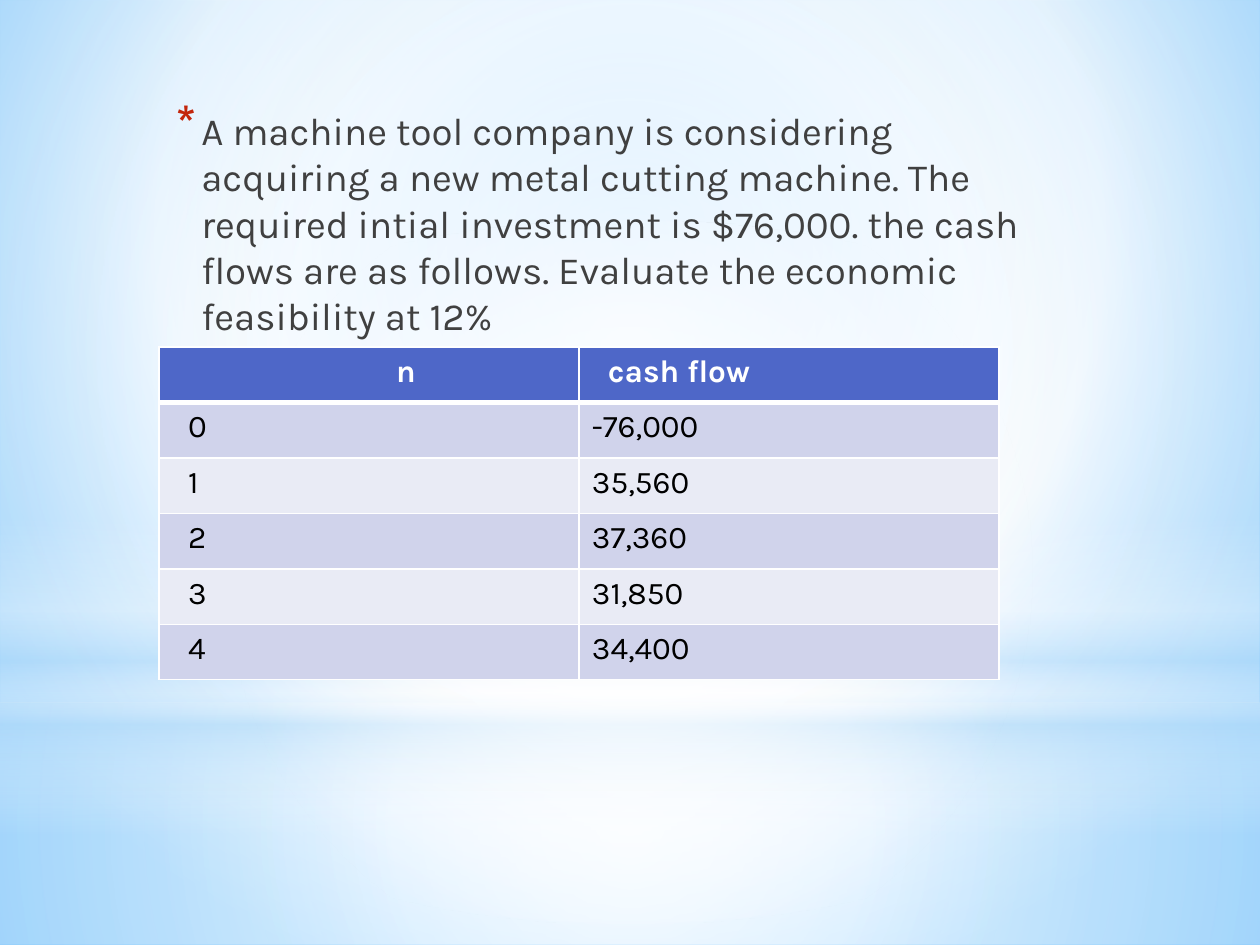
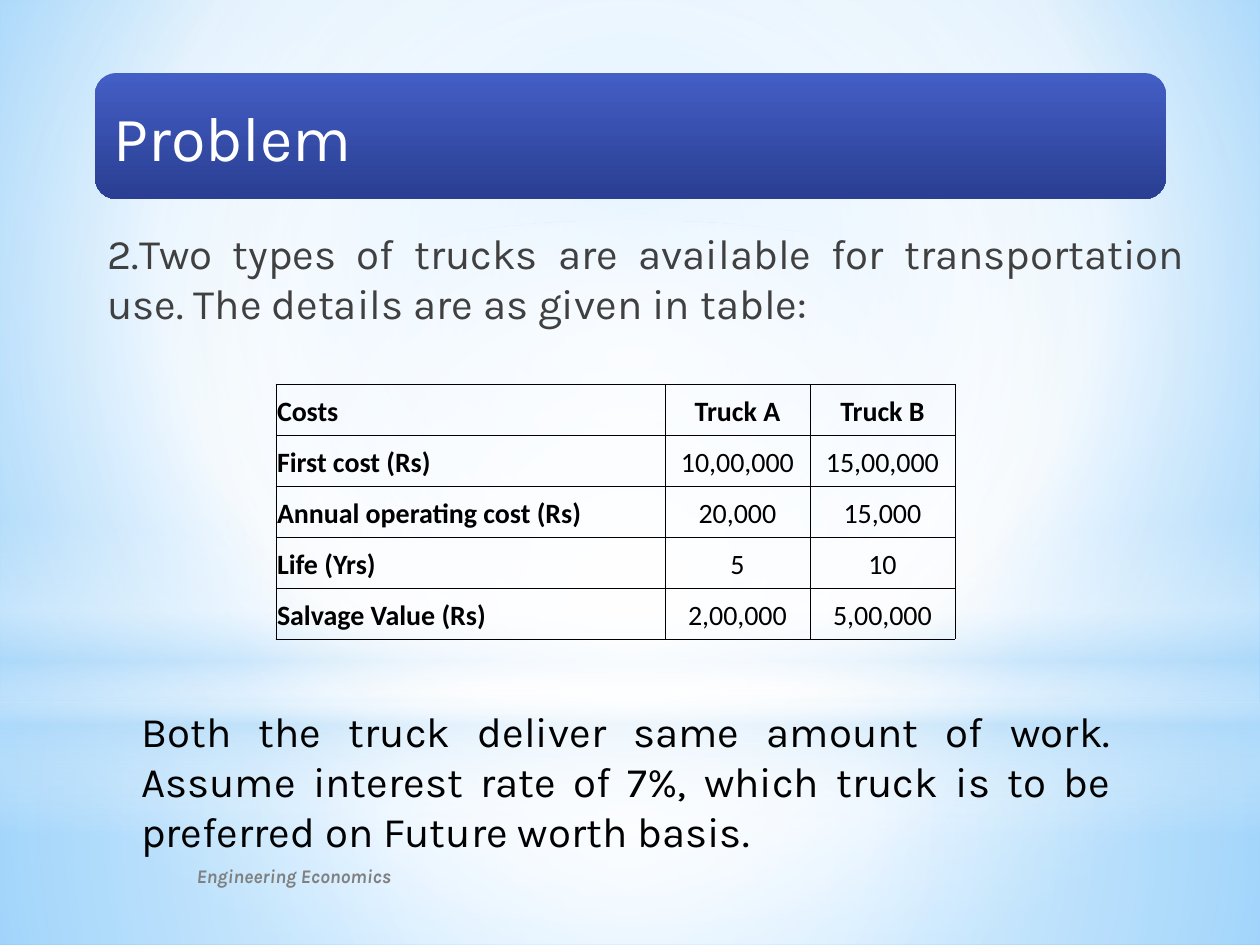
"""Build two engineering economics problem slides with tables on a sky-blue backdrop."""
from dataclasses import dataclass
from typing import NamedTuple

from pptx import Presentation
from pptx.dml.color import RGBColor
from pptx.enum.shapes import MSO_SHAPE as Preset
from pptx.enum.text import MSO_ANCHOR as Anchor, PP_ALIGN as Align
from pptx.oxml import parse_xml
from pptx.oxml.ns import nsdecls, qn
from pptx.util import Emu, Pt

PX_PER_INCH = 126
BODY_FONT, TABLE_FONT = "Karla", "Calibri"
WHITE, BLACK, BODY_GREY, FOOTER_GREY = "FFFFFF", "000000", "404040", "808080"
BULLET_RED, HEADER_BLUE, PALE_BLUE = "C3260C", "4E67C8", "B4DCFA"
ROW_BANDS = ("D0D3EB", "E9EBF5")


class Box(NamedTuple):
    left: int
    top: int
    width: int
    height: int


class Stop(NamedTuple):
    position: int
    color: str
    alpha: int = 100


@dataclass(frozen=True)
class Gradient:
    stops: tuple[Stop, ...]
    focus: tuple[int, int, int, int] | None = (50, 50, 50, 50)


@dataclass(frozen=True)
class Layer:
    preset: Preset
    box: Box
    gradient: Gradient


@dataclass(frozen=True)
class Style:
    size: int
    color: str
    font: str = BODY_FONT
    bold: bool = False
    italic: bool = False
    align: Align = Align.LEFT
    before: float = 0
    after: float = 0
    indent: int = 0
    hanging: int = 0
    bullet: str = ""


@dataclass(frozen=True)
class Cell:
    text: str
    style: Style
    fill: str | None = None
    border: str = BLACK
    border_width: float = 0.5
    bottom_width: float = 0.5
    anchor: Anchor = Anchor.TOP
    side_margin: int = 13


SKY = Gradient((Stop(0, "9CD4FF"), Stop(60, WHITE), Stop(100, "5BB9FF")), (50, 25, 50, 75))
BAND_GRADIENT = Gradient((Stop(0, "435EC5"), Stop(100, "2A3F92")), None)
BACKDROP = (
    Layer(Preset.RECTANGLE, Box(0, 703, 1260, 242),
          Gradient((Stop(0, WHITE, 91), Stop(37, WHITE, 76), Stop(100, PALE_BLUE, 79)))),
    Layer(Preset.RECTANGLE, Box(0, 0, 1260, 703),
          Gradient((Stop(0, WHITE, 89), Stop(48, WHITE, 62), Stop(100, PALE_BLUE, 79)))),
    Layer(Preset.RECTANGLE, Box(0, 519, 1260, 315),
          Gradient((Stop(0, WHITE, 0), Stop(29, WHITE, 30), Stop(45, PALE_BLUE, 40),
                    Stop(55, WHITE, 26), Stop(65, PALE_BLUE, 60), Stop(100, WHITE, 0)), None)),
    Layer(Preset.OVAL, Box(0, 221, 1260, 703),
          Gradient((Stop(0, WHITE), Stop(56, WHITE, 0)))),
)

TITLE = Style(36, WHITE)
BULLET_BODY = Style(22, BODY_GREY, before=4.4, after=3, indent=32, hanging=25, bullet="*")
JUSTIFIED_BODY = Style(24, BODY_GREY, align=Align.JUSTIFY, before=4.8, after=3)
QUESTION = Style(24, BLACK, align=Align.JUSTIFY)
FOOTER = Style(11, FOOTER_GREY, bold=True, italic=True, align=Align.CENTER)

CASH_FLOWS = ("-76,000", "35,560", "37,360", "31,850", "34,400")
TRUCK_COSTS = (
    ("Costs", "Truck A", "Truck B"),
    ("First cost (Rs)", "10,00,000", "15,00,000"),
    ("Annual operating cost (Rs)", "20,000", "15,000"),
    ("Life (Yrs)", "5", "10"),
    ("Salvage Value (Rs)", "2,00,000", "5,00,000"),
)


def px(length: int) -> Emu:
    return Emu(round(length * 914400 / PX_PER_INCH))


def rgb(color: str) -> RGBColor:
    return RGBColor.from_string(color)


def emu_box(box: Box) -> tuple[Emu, ...]:
    return tuple(px(length) for length in box)


def apply_gradient(properties, gradient: Gradient) -> None:
    stops = "".join(
        f'<a:gs pos="{stop.position * 1000}"><a:srgbClr val="{stop.color}">'
        f'<a:alpha val="{stop.alpha * 1000}"/></a:srgbClr></a:gs>'
        for stop in gradient.stops)
    if gradient.focus:
        sides = " ".join(f'{side}="{value * 1000}"' for side, value in zip("ltrb", gradient.focus))
        direction = f'<a:path path="circle"><a:fillToRect {sides}/></a:path>'
    else:
        direction = '<a:lin ang="5400000" scaled="0"/>'
    fill = parse_xml(f'<a:gradFill {nsdecls("a")} rotWithShape="1">'
                     f'<a:gsLst>{stops}</a:gsLst>{direction}</a:gradFill>')
    properties.replace(properties.find(qn("a:solidFill")), fill)


def add_layer(slide, layer: Layer):
    shape = slide.shapes.add_shape(layer.preset, *emu_box(layer.box))
    shape.shadow.inherit = False
    shape.line.fill.background()
    shape.fill.solid()
    apply_gradient(shape.element.spPr, layer.gradient)
    return shape


def add_backdrop_slide(presentation):
    slide = presentation.slides.add_slide(presentation.slide_layouts[6])
    slide.background.fill.solid()
    apply_gradient(next(slide.element.iter(qn("p:bgPr"))), SKY)
    for layer in BACKDROP:
        add_layer(slide, layer)
    return slide


def write(text_frame, text: str, style: Style) -> None:
    paragraph = text_frame.paragraphs[0]
    paragraph.alignment = style.align
    paragraph.space_before, paragraph.space_after = Pt(style.before), Pt(style.after)
    properties = paragraph._p.get_or_add_pPr()
    properties.set("marL", str(px(style.indent)))
    properties.set("indent", str(px(-style.hanging)))
    if style.bullet:
        for bullet_xml in (f'<a:buClr {nsdecls("a")}><a:srgbClr val="{BULLET_RED}"/></a:buClr>',
                           f'<a:buSzPct {nsdecls("a")} val="130000"/>',
                           f'<a:buChar {nsdecls("a")} char="{style.bullet}"/>'):
            properties.append(parse_xml(bullet_xml))
    run = paragraph.add_run()
    run.text = text
    font = run.font
    font.name, font.size = style.font, Pt(style.size)
    font.bold, font.italic = style.bold, style.italic
    font.color.rgb = rgb(style.color)


def add_text(slide, box: Box, text: str, style: Style, anchor: Anchor = Anchor.TOP) -> None:
    text_frame = slide.shapes.add_textbox(*emu_box(box)).text_frame
    text_frame.word_wrap = True
    text_frame.vertical_anchor = anchor
    write(text_frame, text, style)


def add_title_band(slide, text: str) -> None:
    band = add_layer(slide, Layer(Preset.ROUNDED_RECTANGLE, Box(95, 73, 1071, 126), BAND_GRADIENT))
    band.adjustments[0] = 0.17
    band.text_frame.vertical_anchor = Anchor.MIDDLE
    write(band.text_frame, text, TITLE)


def draw_cell(table_cell, cell: Cell) -> None:
    table_cell.vertical_anchor = cell.anchor
    table_cell.margin_left = table_cell.margin_right = px(cell.side_margin)
    if cell.fill:
        table_cell.fill.solid()
        table_cell.fill.fore_color.rgb = rgb(cell.fill)
    else:
        table_cell.fill.background()
    properties = table_cell._tc.get_or_add_tcPr()
    for index, side in enumerate("LRTB"):
        width = cell.bottom_width if side == "B" else cell.border_width
        properties.insert(index, parse_xml(
            f'<a:ln{side} {nsdecls("a")} w="{Pt(width)}"><a:solidFill>'
            f'<a:srgbClr val="{cell.border}"/></a:solidFill></a:ln{side}>'))
    write(table_cell.text_frame, cell.text, cell.style)


def add_table(slide, box: Box, column_widths: tuple[int, ...], rows: list[list[Cell]]) -> None:
    table = slide.shapes.add_table(len(rows), len(column_widths), *emu_box(box)).table
    table.first_row = table.horz_banding = False
    for column, width in zip(table.columns, column_widths):
        column.width = px(width)
    for table_row, cells in zip(table.rows, rows):
        table_row.height = Emu(px(box.height) // len(rows))
        for table_cell, cell in zip(table_row.cells, cells):
            draw_cell(table_cell, cell)


def cash_flow_cell(text: str, indent: int, row: int) -> Cell:
    header = row == 0
    style = Style(18, WHITE if header else BLACK, bold=header, indent=indent)
    fill = HEADER_BLUE if header else ROW_BANDS[(row - 1) % 2]
    return Cell(text, style, fill, WHITE, 1, 3 if header else 1)


def truck_cell(text: str, row: int, column: int) -> Cell:
    style = Style(16, BLACK, TABLE_FONT, bold=row == 0 or column == 0,
                  align=Align.CENTER if column else Align.LEFT)
    return Cell(text, style, anchor=Anchor.BOTTOM, side_margin=1)


def build_cash_flow_slide(presentation) -> None:
    slide = add_backdrop_slide(presentation)
    add_text(slide, Box(157, 101, 882, 479),
             "A machine tool company is considering acquiring a new metal cutting machine. "
             "The required intial investment is $76,000. the cash flows are as follows. "
             "Evaluate the economic feasibility at 12%", BULLET_BODY)
    rows = [[cash_flow_cell("n", 224, 0), cash_flow_cell("cash flow", 16, 0)]]
    rows += [[cash_flow_cell(str(year), 16, year + 1), cash_flow_cell(amount, 0, year + 1)]
             for year, amount in enumerate(CASH_FLOWS)]
    add_table(slide, Box(159, 347, 840, 333), (420, 420), rows)


def build_truck_slide(presentation) -> None:
    slide = add_backdrop_slide(presentation)
    add_title_band(slide, "Problem")
    add_text(slide, Box(95, 221, 1102, 193),
             "2.Two types of trucks are available for transportation use. "
             "The details are as given in table:", JUSTIFIED_BODY)
    add_text(slide, Box(63, 851, 462, 50), "Engineering Economics", FOOTER, Anchor.MIDDLE)
    rows = [[truck_cell(text, row, column) for column, text in enumerate(texts)]
            for row, texts in enumerate(TRUCK_COSTS)]
    add_table(slide, Box(276, 384, 679, 255), (389, 145, 145), rows)
    add_text(slide, Box(129, 699, 994, 164),
             "Both the truck deliver same amount of work. Assume interest rate of 7%, "
             "which truck is to be preferred on Future worth basis.", QUESTION)


def main() -> None:
    presentation = Presentation()
    presentation.slide_width, presentation.slide_height = px(1260), px(945)
    build_cash_flow_slide(presentation)
    build_truck_slide(presentation)
    presentation.save("out.pptx")


if __name__ == "__main__":
    main()
